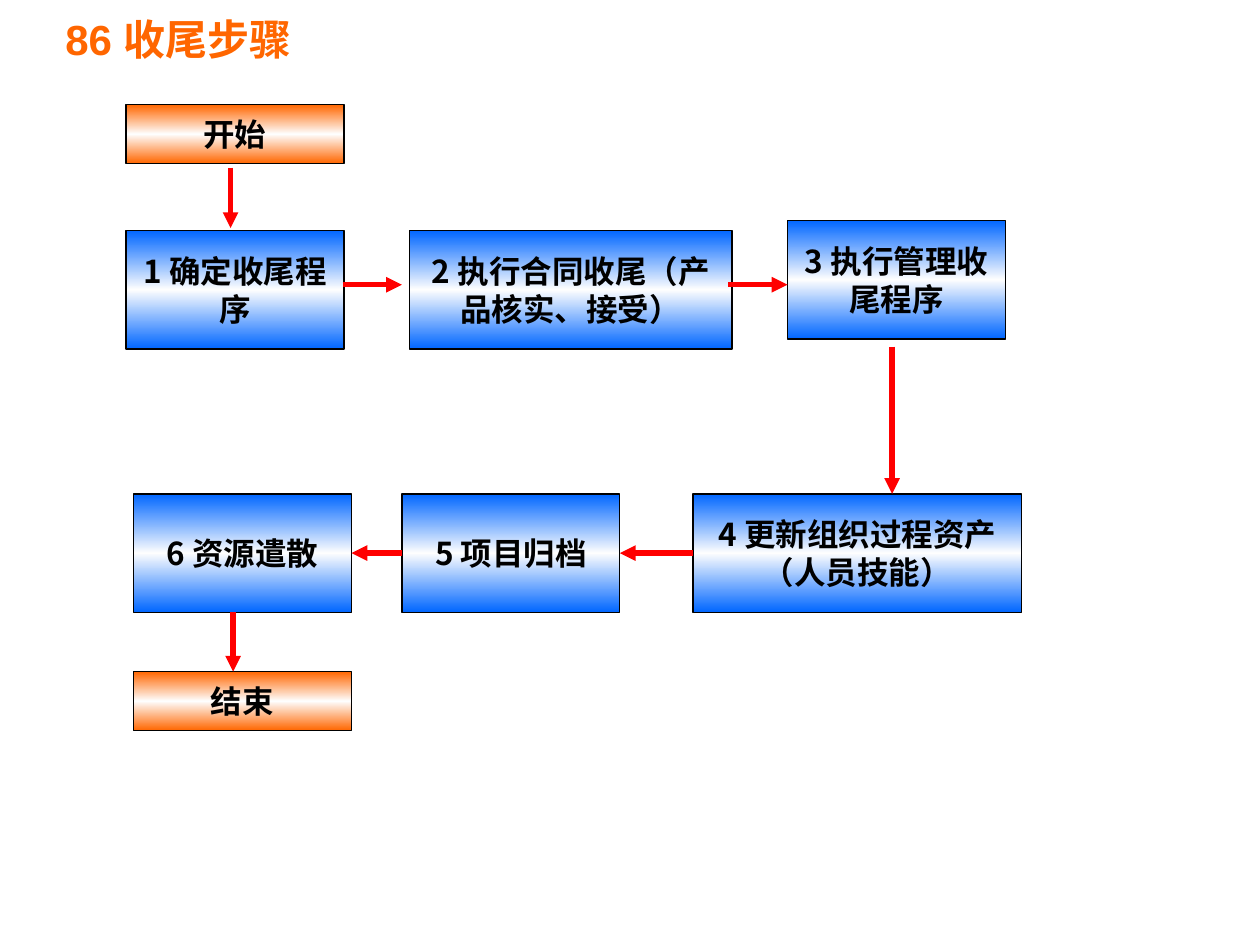
from dataclasses import dataclass

from lxml import etree
from pptx import Presentation
from pptx.dml.color import RGBColor
from pptx.enum import shapes, text
from pptx.oxml import ns, parse_xml
from pptx.util import Inches, Pt


@dataclass(frozen=True)
class Theme:
    orange: str = "FF6600"
    blue: str = "0066FF"
    glow: str = "FEFEFE"
    ink: str = "000000"
    arrow: str = "FF0000"
    latin: str = "Arial"
    cjk: str = "Noto Sans CJK SC"
    title_size: float = 24
    step_size: float = 18
    border: float = 0.75
    arrow_width: float = 3


T = Theme()
BOX_W, STEP_H, END_H = 1.73, 0.94, 0.47
ROW_1, ROW_2 = 1.83, 3.92  # tops of the two rows of steps

# name: (text, left, top, width, height, colour)
BOXES = {
    "start": ("开始", 1, 0.83, BOX_W, END_H, T.orange),
    "procedure": ("1 确定收尾程序", 1, ROW_1, BOX_W, STEP_H, T.blue),
    "contract": ("2 执行合同收尾（产品核实、接受）", 3.25, ROW_1, 2.56, STEP_H, T.blue),
    "admin": ("3 执行管理收尾程序", 6.25, 1.75, BOX_W, STEP_H, T.blue),
    "assets": ("4 更新组织过程资产（人员技能）", 5.5, ROW_2, 2.61, STEP_H, T.blue),
    "archive": ("5 项目归档", 3.19, ROW_2, BOX_W, STEP_H, T.blue),
    "release": ("6 资源遣散", 1.06, ROW_2, BOX_W, STEP_H, T.blue),
    "end": ("结束", 1.06, 5.33, BOX_W, END_H, T.orange),
}

# Arrows that run free: x1, y1, x2, y2
FREE_ARROWS = [
    (1.83, 1.33, 1.83, 1.81),
    (2.72, 2.26, 3.19, 2.26),
    (5.78, 2.26, 6.25, 2.26),
    (7.08, 2.75, 7.08, 3.92),
    (1.85, 4.86, 1.85, 5.33),
]
# Arrows from the left side of one box to the right side of the next
JOINED_ARROWS = [("assets", "archive"), ("archive", "release")]


def write(shape, words, font, size, color, align):
    tf = shape.text_frame
    tf.word_wrap = True
    tf.vertical_anchor = text.MSO_ANCHOR.MIDDLE
    p = tf.paragraphs[0]
    p.alignment = align
    r = p.add_run()
    r.text = words
    for name, value in {"name": font, "size": Pt(size), "bold": True}.items():
        setattr(r.font, name, value)
    r.font.color.rgb = RGBColor.from_string(color)
    etree.SubElement(r._r.get_or_add_rPr(), ns.qn("a:ea"), typeface=T.cjk)


def fill_band(shape, color):
    """Vertical gradient: colour, light middle, colour."""
    stops = "".join(
        f'<a:gs pos="{pos}"><a:srgbClr val="{c}"/></a:gs>'
        for pos, c in ((0, color), (50000, T.glow), (100000, color))
    )
    grad = parse_xml(
        f'<a:gradFill {ns.nsdecls("a")} rotWithShape="1"><a:gsLst>{stops}</a:gsLst>'
        '<a:lin ang="5400000" scaled="1"/></a:gradFill>'
    )
    shape._element.spPr.find(ns.qn("a:prstGeom")).addnext(grad)


def add_title(s, words, left, top, width, height):
    box = s.shapes.add_textbox(*map(Inches, (left, top, width, height)))
    write(box, words, T.latin, T.title_size, T.orange, text.PP_ALIGN.LEFT)


def add_box(s, words, left, top, width, height, color):
    sp = s.shapes.add_shape(
        shapes.MSO_SHAPE.RECTANGLE, *map(Inches, (left, top, width, height))
    )
    sp.shadow.inherit = False
    fill_band(sp, color)
    sp.line.color.rgb = RGBColor.from_string(T.ink)
    sp.line.width = Pt(T.border)
    write(sp, words, T.cjk, T.step_size, T.ink, text.PP_ALIGN.CENTER)
    return sp


def add_arrow(s, x1=0, y1=0, x2=0, y2=0):
    line = s.shapes.add_connector(
        shapes.MSO_CONNECTOR.STRAIGHT, *map(Inches, (x1, y1, x2, y2))
    )
    line.line.color.rgb = RGBColor.from_string(T.arrow)
    line.line.width = Pt(T.arrow_width)
    etree.SubElement(line.line._get_or_add_ln(), ns.qn("a:tailEnd"), type="triangle")
    etree.SubElement(line._element.spPr, ns.qn("a:effectLst"))
    return line


def add_flow(s):
    boxes = {name: add_box(s, *values) for name, values in BOXES.items()}
    for ends in FREE_ARROWS:
        add_arrow(s, *ends)
    for source, target in JOINED_ARROWS:
        line = add_arrow(s)
        line.begin_connect(boxes[source], 1)
        line.end_connect(boxes[target], 3)


def main():
    prs = Presentation()
    prs.slide_width, prs.slide_height = Inches(10), Inches(7.5)
    s = prs.slides.add_slide(prs.slide_layouts[6])
    add_title(s, "86 收尾步骤", 0.42, 0, 4.58, 0.62)
    add_flow(s)
    prs.save("out.pptx")


if __name__ == "__main__":
    main()
